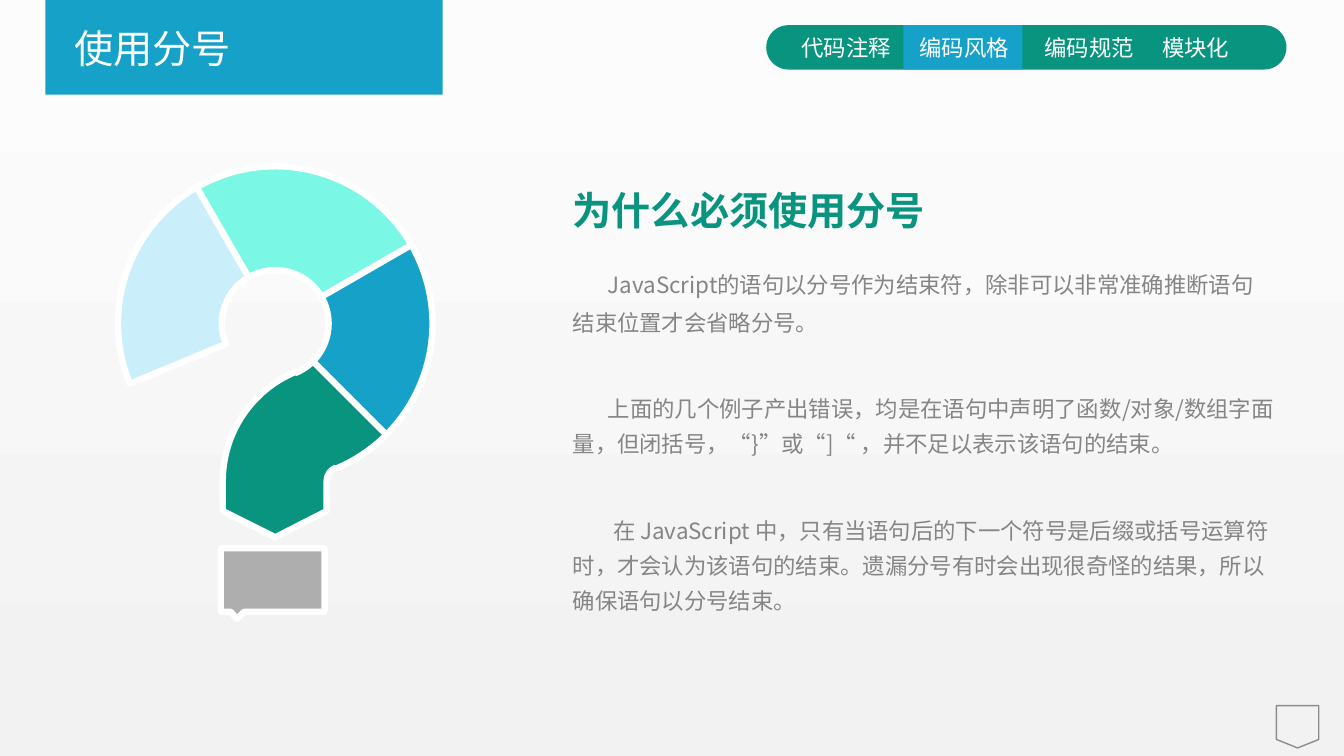
from dataclasses import dataclass
from math import cos, floor, radians, sin, tan

from lxml import etree
from pptx import Presentation
from pptx.dml.color import RGBColor
from pptx.enum.shapes import MSO_SHAPE
from pptx.oxml.ns import qn
from pptx.util import Inches, Pt

RECTANGLE = MSO_SHAPE.RECTANGLE
ROUNDED_RECTANGLE = MSO_SHAPE.ROUNDED_RECTANGLE
OFFPAGE_CONNECTOR = MSO_SHAPE.FLOWCHART_OFFPAGE_CONNECTOR

Point = tuple[float, float]
Step = list[Point]


@dataclass(frozen=True)
class Theme:
    green: str = "099480"
    blue: str = "15A1C8"
    mint: str = "7AF7E5"
    pale: str = "CBEFFA"
    gray: str = "AEAEAE"
    body_text: str = "858585"
    marker: str = "8C8C8C"
    white: str = "FFFFFF"
    background_bottom: str = "F2F2F2"
    background_top: str = "FCFCFC"
    font: str = "Noto Sans CJK SC"
    title_font: str = "Calibri"
    title_size: int = 28
    body_size: int = 16
    outline: float = 4.5


@dataclass(frozen=True)
class Box:
    left: float
    top: float
    width: float
    height: float


@dataclass(frozen=True)
class RingSegment:
    start: float
    end: float
    color: str


@dataclass(frozen=True)
class NavigationLabel:
    text: str
    left: float


@dataclass(frozen=True)
class BodyParagraph:
    text: str
    size: int
    color: str
    line_height: float
    gap_before: float = 0
    indent: float = 0
    bold: bool = False


THEME = Theme()
RING_CENTER = (2.73, 3.21)
OUTER_RADIUS, INNER_RADIUS = 1.56, 0.53
BEND_CENTER = (3.38, 4.77)
BEND_RADIUS, FILLET_RADIUS = 1.17, 0.14
HOOK_END, STEM_START = 157.5, 427.5

SEGMENTS = [
    RingSegment(240, 330, THEME.mint),
    RingSegment(330, 405, THEME.blue),
    RingSegment(HOOK_END, 240, THEME.pale),
]
DOT = [[(2.19, 5.44)], [(3.22, 5.44)], [(3.22, 6.07)], [(2.42, 6.07)],
       [(2.35, 6.14)], [(2.29, 6.07)], [(2.19, 6.07)]]
LABELS = [
    NavigationLabel("代码注释", 7.85),
    NavigationLabel("编码风格", 9.02),
    NavigationLabel("编码规范", 10.26),
    NavigationLabel("模块化", 11.43),
]
PARAGRAPHS = [
    BodyParagraph("为什么必须使用分号", THEME.title_size, THEME.green, 45, bold=True),
    BodyParagraph("JavaScript的语句以分号作为结束符，除非可以非常准确推断语句结束位置才会省略分号。",
                  THEME.body_size, THEME.body_text, 27, 19, 0.35),
    BodyParagraph("上面的几个例子产出错误，均是在语句中声明了函数/对象/数组字面量，但闭括号，“}”或“]“ ，并不足以表示该语句的结束。",
                  THEME.body_size, THEME.body_text, 25, 37, 0.35),
    BodyParagraph("在 JavaScript 中，只有当语句后的下一个符号是后缀或括号运算符时，才会认为该语句的结束。遗漏分号有时会出现很奇怪的结果，所以确保语句以分号结束。",
                  THEME.body_size, THEME.body_text, 25, 37, 0.4),
]


def arc(center: Point, radius: float, start: float, end: float) -> list[Step]:
    low, high = sorted((start, end))
    quarters = [90 * turn for turn in range(floor(low / 90) + 1, floor(high / 90) + 1)]
    stops = sorted({low, *quarters, high}, reverse=end < start)

    def locate(angle: float, pull: float = 0) -> Point:
        cosine, sine = cos(radians(angle)), sin(radians(angle))
        return (center[0] + radius * (cosine - pull * sine),
                center[1] + radius * (sine + pull * cosine))

    steps = [[locate(start)]]
    for first, last in zip(stops, stops[1:]):
        pull = 4 / 3 * tan(radians(last - first) / 4)
        steps.append([locate(first, pull), locate(last, -pull), locate(last)])
    return steps


def ring_outline(segment: RingSegment) -> list[Step]:
    return (arc(RING_CENTER, OUTER_RADIUS, segment.start, segment.end)
            + arc(RING_CENTER, INNER_RADIUS, segment.end, segment.start))


def question_outline() -> list[Step]:
    return (arc(RING_CENTER, OUTER_RADIUS, HOOK_END, STEM_START)
            + arc(BEND_CENTER, FILLET_RADIUS, 247.5, 180)
            + [[(3.24, 5.07)], [(2.73, 5.33)], [(2.21, 5.07)]]
            + arc(BEND_CENTER, BEND_RADIUS, 180, 247.5)
            + arc(RING_CENTER, INNER_RADIUS, STEM_START, HOOK_END))


def add_outlined(slide, steps: list[Step], color: str) -> None:
    vertices = [(Inches(step[-1][0]), Inches(step[-1][1])) for step in steps]
    builder = slide.shapes.build_freeform(*vertices[0])
    builder.add_line_segments(vertices[1:], close=True)
    shape = builder.convert_to_shape()
    for line, step in zip(list(shape._element.iter(qn("a:lnTo"))), steps[1:]):
        if len(step) == 3:
            curve = etree.Element(qn("a:cubicBezTo"))
            for x, y in step:
                point = etree.SubElement(curve, qn("a:pt"))
                point.set("x", str(Inches(x) - shape.left))
                point.set("y", str(Inches(y) - shape.top))
            line.getparent().replace(line, curve)
    shape.shadow.inherit = False
    shape.fill.solid()
    shape.fill.fore_color.rgb = RGBColor.from_string(color)
    shape.line.color.rgb = RGBColor.from_string(THEME.white)
    shape.line.width = Pt(THEME.outline)
    etree.SubElement(shape.line._get_or_add_ln(), qn("a:round"))


def add_block(slide, kind: MSO_SHAPE, box: Box, color: str):
    shape = slide.shapes.add_shape(kind, Inches(box.left), Inches(box.top),
                                   Inches(box.width), Inches(box.height))
    shape.shadow.inherit = False
    shape.fill.solid()
    shape.fill.fore_color.rgb = RGBColor.from_string(color)
    shape.line.fill.background()
    return shape


def add_text_frame(slide, box: Box, wrap: bool = True):
    text_box = slide.shapes.add_textbox(Inches(box.left), Inches(box.top),
                                        Inches(box.width), Inches(box.height))
    text_box.text_frame.word_wrap = wrap
    return text_box.text_frame


def add_run(paragraph, text: str, size: int, color: str,
            font: str = THEME.font, bold: bool = False) -> None:
    run = paragraph.add_run()
    run.text = text
    run.font.size = Pt(size)
    run.font.bold = bold
    run.font.color.rgb = RGBColor.from_string(color)
    run.font.name = font
    etree.SubElement(run.font._element, qn("a:ea")).set("typeface", THEME.font)


def add_background(slide) -> None:
    fill = slide.background.fill
    fill.gradient()
    fill.gradient_angle = 90
    for stop, color in zip(fill.gradient_stops, (THEME.background_bottom, THEME.background_top)):
        stop.color.rgb = RGBColor.from_string(color)


def add_page_marker(slide) -> None:
    marker = add_block(slide, OFFPAGE_CONNECTOR, Box(12.66, 7, 0.42, 0.42), THEME.white)
    marker.fill.background()
    marker.line.color.rgb = RGBColor.from_string(THEME.marker)
    marker.line.width = Pt(1)


def add_explanation(slide) -> None:
    frame = add_text_frame(slide, Box(5.56, 1.65, 7.18, 4.61))
    frame.margin_left, frame.margin_right = Inches(0.12), Inches(0.1)
    frame.margin_top = frame.margin_bottom = Inches(0.04)
    for index, item in enumerate(PARAGRAPHS):
        paragraph = frame.add_paragraph() if index else frame.paragraphs[0]
        paragraph.line_spacing = Pt(item.line_height)
        if index:
            paragraph.space_before = Pt(item.gap_before)
            paragraph._p.get_or_add_pPr().set("indent", str(Inches(item.indent)))
        add_run(paragraph, item.text, item.size, item.color, bold=item.bold)


def main() -> None:
    presentation = Presentation()
    presentation.slide_width, presentation.slide_height = Inches(13.33), Inches(7.5)
    slide = presentation.slides.add_slide(presentation.slide_layouts[6])
    add_background(slide)
    add_page_marker(slide)
    add_outlined(slide, DOT, THEME.gray)
    add_outlined(slide, question_outline(), THEME.green)
    for segment in SEGMENTS:
        add_outlined(slide, ring_outline(segment), segment.color)
    add_explanation(slide)
    bar = add_block(slide, ROUNDED_RECTANGLE, Box(7.6, 0.25, 5.16, 0.44), THEME.green)
    bar.adjustments[0] = 0.5
    add_block(slide, RECTANGLE, Box(8.96, 0.25, 1.18, 0.44), THEME.blue)
    for label in LABELS:
        frame = add_text_frame(slide, Box(label.left, 0.29, 1.31, 0.37))
        add_run(frame.paragraphs[0], label.text, THEME.body_size, THEME.white)
    add_block(slide, RECTANGLE, Box(0.45, 0, 3.94, 0.94), THEME.blue)
    title = add_text_frame(slide, Box(0.64, 0.19, 1.77, 0.57), wrap=False)
    add_run(title.paragraphs[0], "使用分号", THEME.title_size, THEME.white, THEME.title_font)
    presentation.save("out.pptx")


if __name__ == "__main__":
    main()
